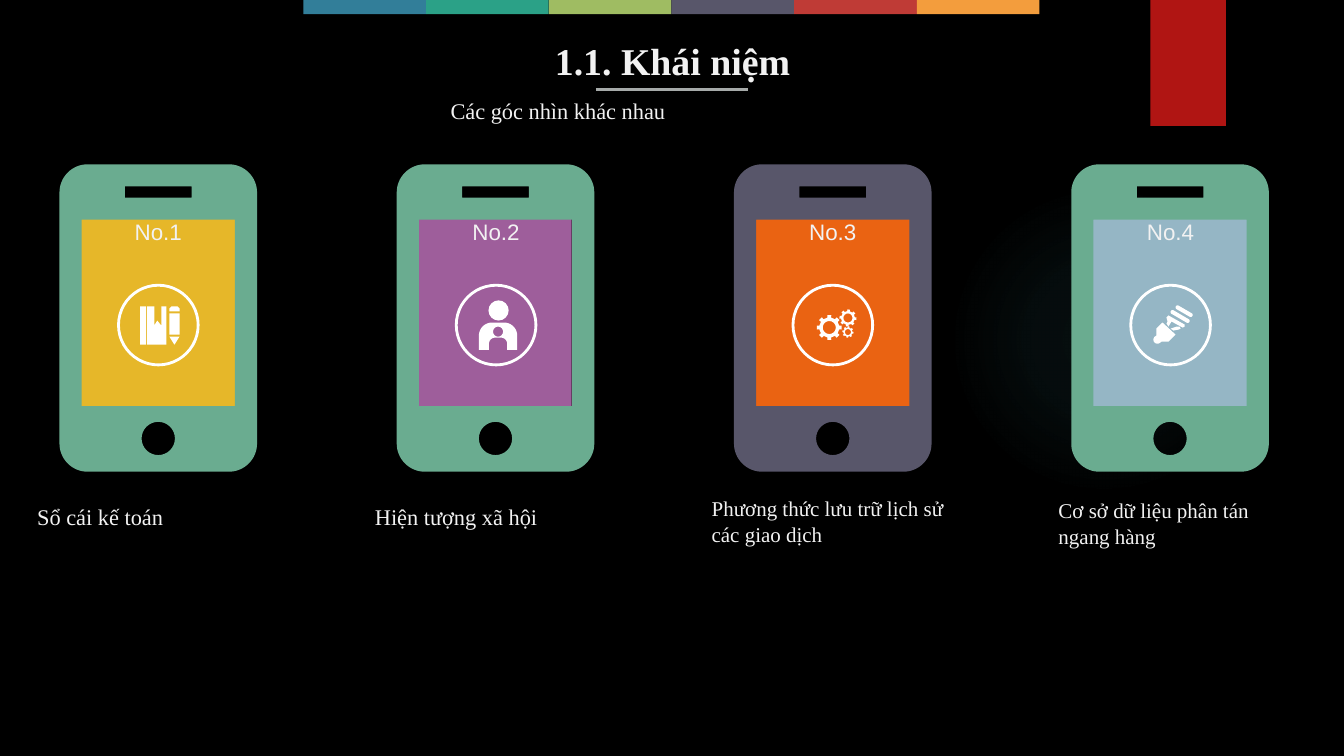
from math import atan2, cos, degrees, radians, sin

from lxml.etree import SubElement
from pptx import Presentation
from pptx.dml.color import RGBColor
from pptx.enum.shapes import MSO_CONNECTOR, MSO_SHAPE
from pptx.enum.text import MSO_ANCHOR, PP_ALIGN
from pptx.oxml import parse_xml
from pptx.oxml.ns import nsdecls, qn
from pptx.util import Inches, Pt

BLACK = RGBColor(0x00, 0x00, 0x00)
WHITE = RGBColor(0xFF, 0xFF, 0xFF)
TEXT = RGBColor(0xF2, 0xF2, 0xF2)
GRAY = RGBColor(0xA6, 0xAA, 0xA9)
RED = RGBColor(0xB0, 0x15, 0x13)
GREEN = RGBColor(0x6A, 0xAC, 0x90)
SLATE = RGBColor(0x58, 0x56, 0x6A)
YELLOW = RGBColor(0xE6, 0xB7, 0x29)
PURPLE = RGBColor(0x9E, 0x5E, 0x9B)
ORANGE = RGBColor(0xEA, 0x63, 0x12)
PALE_BLUE = RGBColor(0x95, 0xB6, 0xC5)
BAND_COLORS = (
    RGBColor(0x32, 0x7E, 0x99), RGBColor(0x2B, 0xA1, 0x87), RGBColor(0x9F, 0xBC, 0x62),
    SLATE, RGBColor(0xBF, 0x3B, 0x36), RGBColor(0xF3, 0x9D, 0x3D),
)
SERIF = "Times New Roman"
SANS = "Arial"
BAND_LEFT, BAND_WIDTH = 3.01, 7.3 / len(BAND_COLORS)
PHONE_LEFT, PHONE_STEP, PHONE_TOP = 0.59, 3.345, 1.63
PHONE_WIDTH, PHONE_HEIGHT, PHONE_RADIUS = 1.96, 3.05, 0.28
RING_SIZE, LABEL_WIDTH = 0.79, 0.53


def arc(cx, cy, radius, start=0, end=360, steps=16):
    """Points along an arc; angles in degrees, clockwise from the right."""
    angles = [radians(start + (end - start) * i / steps) for i in range(steps + 1)]
    return [(cx + radius * cos(a), cy + radius * sin(a)) for a in angles]


def box(left, top, right, bottom):
    return [(left, top), (right, top), (right, bottom), (left, bottom)]


def rounded_box(left, top, right, bottom, r):
    return (arc(left + r, top + r, r, 180, 270) + arc(right - r, top + r, r, 270, 360)
            + arc(right - r, bottom - r, r, 0, 90) + arc(left + r, bottom - r, r, 90, 180))


def capsule(start, end, radius):
    """Outline of a bar with round ends between two points."""
    angle = degrees(atan2(end[1] - start[1], end[0] - start[0]))
    return (arc(*end, radius, angle - 90, angle + 90)
            + arc(*start, radius, angle + 90, angle + 270))


def gear(cx, cy, radius, hole, turn=0, teeth=8):
    outline = []
    for tooth in range(teeth):
        middle = turn + 360 * tooth / teeth
        for scale, offset in ((0.8, -11), (1, -9), (1, 9), (0.8, 11)):
            a = radians(middle + offset)
            outline.append((cx + scale * radius * cos(a), cy + scale * radius * sin(a)))
    return [outline, arc(cx, cy, hole)]


def books_icon():
    return [
        box(1.39, 3.04, 1.45, 3.42),
        [(1.46, 3.04), (1.53, 3.04), (1.53, 3.23), (1.56, 3.18), (1.6, 3.23),
         (1.6, 3.04), (1.65, 3.04), (1.65, 3.42), (1.46, 3.42)],
        box(1.68, 3.11, 1.78, 3.32),
        [(1.68, 3.34), (1.78, 3.34), (1.73, 3.42)],
        [(1.68, 3.09), (1.68, 3.06), (1.7, 3.04), (1.76, 3.04), (1.78, 3.06), (1.78, 3.09)],
    ]


def person_icon():
    body = (arc(4.88, 3.33, 0.13, 180, 270) + arc(5, 3.33, 0.13, 270, 360)
            + [(5.13, 3.47), (5.03, 3.47)]
            + arc(4.97, 3.41, 0.06, 0, -90) + arc(4.91, 3.41, 0.06, -90, -180)
            + [(4.85, 3.47), (4.75, 3.47)])
    return [arc(4.945, 3.08, 0.1), body, arc(4.94, 3.29, 0.05)]


def gears_icon():
    return (gear(8.225, 3.25, 0.125, 0.065) + gear(8.41, 3.155, 0.085, 0.045, 5)
            + gear(8.41, 3.295, 0.056, 0.03, 8))


def bulb_icon():
    return [
        capsule((11.68, 3.05), (11.81, 3.125), 0.02),
        capsule((11.63, 3.096), (11.78, 3.184), 0.02),
        [(11.59, 3.13), (11.75, 3.22), (11.75, 3.24), (11.73, 3.25), (11.62, 3.19),
         (11.59, 3.24), (11.57, 3.21), (11.58, 3.19), (11.57, 3.15)],
        [(11.53, 3.2), (11.66, 3.32), (11.59, 3.39), (11.52, 3.39)]
        + arc(11.48, 3.37, 0.04, 60, 240) + [(11.47, 3.33), (11.47, 3.26)],
        [(11.61, 3.26), (11.67, 3.24), (11.7, 3.24), (11.71, 3.26), (11.69, 3.27),
         (11.64, 3.28)],
    ]


def paint(shape, color):
    shape.shadow.inherit = False
    shape.fill.solid()
    shape.fill.fore_color.rgb = color
    shape.line.fill.background()


def add_rectangle(slide, left, top, width, height, color):
    paint(slide.shapes.add_shape(MSO_SHAPE.RECTANGLE, Inches(left), Inches(top),
                                 Inches(width), Inches(height)), color)


def add_outline(slide, contours, color):
    """One freeform from closed contours; inner contours become holes."""
    first, *others = [[(Inches(x), Inches(y)) for x, y in c] for c in contours]
    builder = slide.shapes.build_freeform(*first[0])
    builder.add_line_segments(first[1:], close=True)
    for contour in others:
        builder.move_to(*contour[0])
        builder.add_line_segments(contour[1:], close=True)
    paint(builder.convert_to_shape(), color)


def add_text(slide, text, left, top, width, height, size, font=SERIF, bold=False,
             align=PP_ALIGN.LEFT):
    frame = slide.shapes.add_textbox(Inches(left), Inches(top), Inches(width),
                                     Inches(height)).text_frame
    frame.word_wrap = True
    frame.text = text
    paragraph = frame.paragraphs[0]
    paragraph.alignment = align
    style = paragraph.runs[0].font
    style.name, style.size, style.bold = font, Pt(size), bold
    style.color.rgb = TEXT
    return frame


def add_glow(slide):
    glow = slide.shapes.add_shape(MSO_SHAPE.OVAL, Inches(9.41), Inches(1.83),
                                  Inches(3.08), Inches(3.08))
    paint(glow, BLACK)
    stops = "".join(
        f'<a:gs pos="{place}000"><a:srgbClr val="50B9C1"><a:alpha val="{alpha}000"/>'
        "</a:srgbClr></a:gs>" for place, alpha in ((0, 7), (36, 6), (69, 0)))
    gradient = parse_xml(
        f'<a:gradFill {nsdecls("a")}><a:gsLst>{stops}</a:gsLst><a:path path="circle">'
        '<a:fillToRect l="50000" t="50000" r="50000" b="50000"/></a:path></a:gradFill>')
    properties = glow._element.spPr
    properties.replace(properties.find(qn("a:solidFill")), gradient)


def add_title_rule(slide):
    rule = slide.shapes.add_connector(MSO_CONNECTOR.STRAIGHT, Inches(5.91), Inches(0.89),
                                      Inches(7.42), Inches(0.89))
    rule.line.color.rgb = GRAY
    rule.line.width = Pt(2)
    SubElement(rule._element.spPr, qn("a:effectLst"))


def add_phone(slide, left, color, screen, screen_color):
    add_rectangle(slide, *screen, screen_color)
    right, bottom = left + PHONE_WIDTH, PHONE_TOP + PHONE_HEIGHT
    add_outline(slide, [
        rounded_box(left, PHONE_TOP, right, bottom, PHONE_RADIUS),
        box(left + 0.65, 1.85, right - 0.65, 1.96),
        arc(left + PHONE_WIDTH / 2, 4.35, 0.165, steps=32),
        box(left + 0.22, 2.18, right - 0.22, 4.03),
    ], color)


def add_badge(slide, label, center, icon):
    """Label, ring and icon on a phone's screen."""
    frame = add_text(slide, label, center - LABEL_WIDTH / 2, 2.13, LABEL_WIDTH, 0.33, 16,
                     SANS, align=PP_ALIGN.CENTER)
    frame.word_wrap = False
    frame.vertical_anchor = MSO_ANCHOR.MIDDLE
    frame.margin_left = frame.margin_right = Inches(0.03)
    frame.margin_top = frame.margin_bottom = Inches(0.03)
    ring = slide.shapes.add_shape(MSO_SHAPE.OVAL, Inches(center - RING_SIZE / 2),
                                  Inches(2.83), Inches(RING_SIZE), Inches(RING_SIZE))
    ring.shadow.inherit = False
    ring.fill.background()
    ring.line.color.rgb = WHITE
    ring.line.width = Pt(2)
    add_outline(slide, icon, WHITE)


def main():
    deck = Presentation()
    deck.slide_width, deck.slide_height = Inches(13.33), Inches(7.5)
    slide = deck.slides.add_slide(deck.slide_layouts[6])
    slide.background.fill.solid()
    slide.background.fill.fore_color.rgb = BLACK

    add_glow(slide)
    add_rectangle(slide, 11.41, 0, 0.75, 1.25, RED)
    for i, color in enumerate(BAND_COLORS):
        add_rectangle(slide, BAND_LEFT + i * BAND_WIDTH, 0, BAND_WIDTH, 0.14, color)
    add_title_rule(slide)
    add_text(slide, "1.1. Khái niệm", 3.03, 0.33, 7.28, 0.46, 27, bold=True,
             align=PP_ALIGN.CENTER)
    add_text(slide, "Các góc nhìn khác nhau", 4.37, 0.91, 4.59, 0.4, 16)

    phones = (
        (GREEN, (0.78, 2.09, 1.58, 1.99), YELLOW, 1.57, books_icon(),
         ("Sổ cái kế toán", 0.27, 4.94, 2.59, 0.4, 16)),
        (GREEN, (4.14, 2.1, 1.53, 2.06), PURPLE, 4.92, person_icon(),
         ("Hiện tượng xã hội", 3.62, 4.94, 2.59, 0.4, 16)),
        (SLATE, (7.5, 2.04, 1.6, 2.06), ORANGE, 8.26, gears_icon(),
         ("Phương thức lưu trữ lịch sử các giao dịch", 6.96, 4.87, 2.59, 0.58, 15)),
        (GREEN, (10.82, 2.09, 1.58, 1.99), PALE_BLUE, 11.61, bulb_icon(),
         ("Cơ sở dữ liệu phân tán ngang hàng", 10.4, 4.89, 2.47, 0.58, 15)),
    )
    for i, (color, screen, screen_color, center, icon, caption) in enumerate(phones):
        add_phone(slide, PHONE_LEFT + i * PHONE_STEP, color, screen, screen_color)
        add_badge(slide, f"No.{i + 1}", center, icon)
        add_text(slide, *caption)
    deck.save("out.pptx")


if __name__ == "__main__":
    main()
